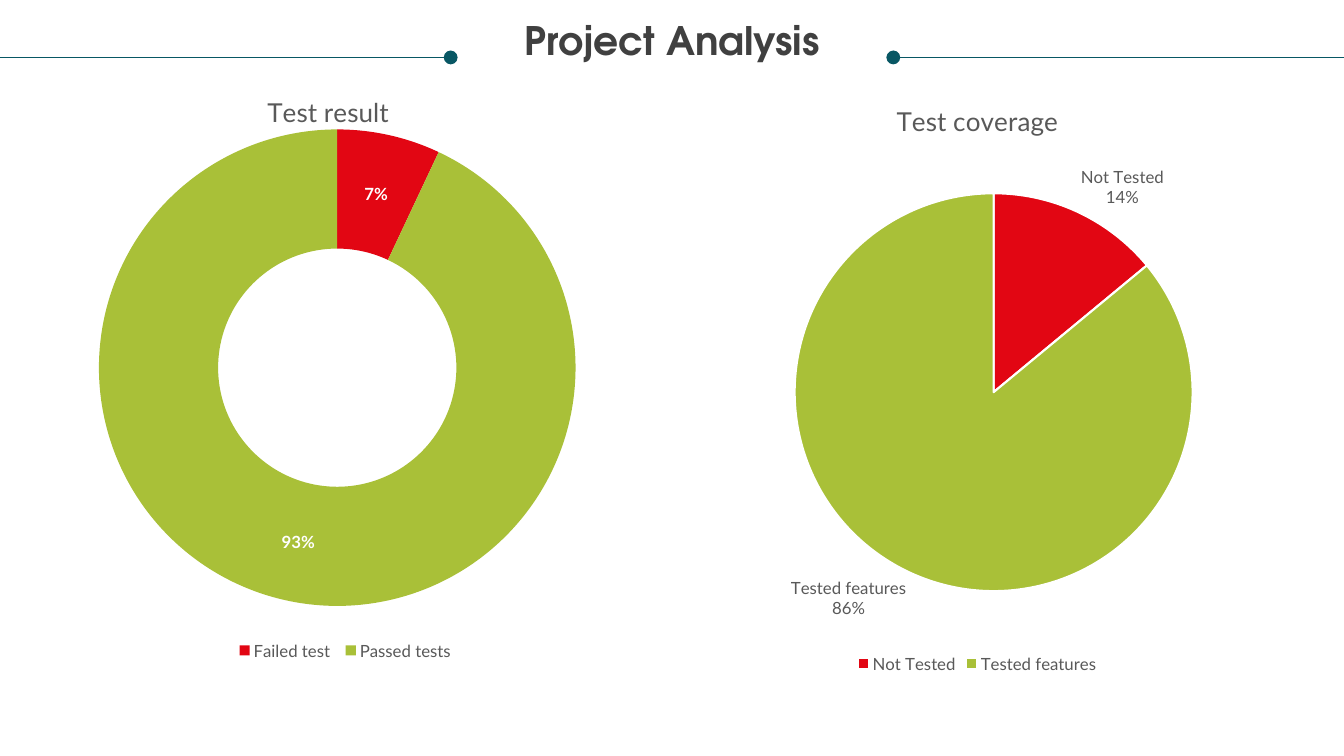
from lxml import etree
from pptx import Presentation
from pptx.chart.data import CategoryChartData
from pptx.dml.color import RGBColor
from pptx.enum.chart import XL_CHART_TYPE, XL_LABEL_POSITION, XL_LEGEND_POSITION
from pptx.enum.shapes import MSO_CONNECTOR
from pptx.enum.text import PP_ALIGN
from pptx.oxml import parse_xml
from pptx.oxml.ns import nsdecls, qn
from pptx.util import Inches, Pt

RING, PIE = XL_CHART_TYPE.DOUGHNUT, XL_CHART_TYPE.PIE
TOP, BOTTOM = XL_LEGEND_POSITION.TOP, XL_LEGEND_POSITION.BOTTOM
OUTSIDE = XL_LABEL_POSITION.OUTSIDE_END
STRAIGHT = MSO_CONNECTOR.STRAIGHT
CENTER = PP_ALIGN.CENTER
GRAY, WHITE, TEAL = "595959", "FFFFFF", "085764"
SLICES = ["E20613", "A9C038"]


def style(font, size, color, name="Lato", bold=False):
    font.size, font.name, font.bold = Pt(size), name, bold
    font.color.rgb = RGBColor.from_string(color)


def place(part, index, box, inner=False):
    """Set the layout of a chart part as fractions of the chart."""
    for old in part.findall(qn("c:layout")):
        part.remove(old)
    target = '<c:layoutTarget val="inner"/>' if inner else ""
    modes = "".join(f'<c:{k}Mode val="edge"/>' for k in "xy")
    sizes = "".join(f'<c:{k} val="{v}"/>' for k, v in zip("xywh", box))
    part.insert(index, parse_xml(
        f'<c:layout {nsdecls("c")}><c:manualLayout>{target}{modes}{sizes}'
        "</c:manualLayout></c:layout>"))


deck = Presentation()
deck.slide_width, deck.slide_height = Inches(13.33), Inches(7.5)
slide = deck.slides.add_slide(deck.slide_layouts[6])

# Heading
box = slide.shapes.add_textbox(Inches(0.25), Inches(0.21), Inches(12.83), Inches(0.85))
frame = box.text_frame
frame.word_wrap = True
frame.margin_left = frame.margin_right = frame.margin_top = frame.margin_bottom = 0
head = frame.paragraphs[0]
head.text = "Project Analysis"
head.alignment, head.line_spacing = CENTER, 0.9
style(head.font, 28, "404040", "TeX Gyre Adventor", True)

# Rules with a dot at the inner end
for start, end, dot in [(0, 4.47, "tailEnd"), (8.86, 13.33, "headEnd")]:
    rule = slide.shapes.add_connector(
        STRAIGHT, Inches(start), Inches(0.57), Inches(end), Inches(0.57))
    rule.line.color.rgb = RGBColor.from_string(TEAL)
    rule.line.width = Pt(0.5)
    etree.SubElement(rule.line._get_or_add_ln(), qn("a:" + dot),
                     type="oval", w="lg", len="lg")
    etree.SubElement(rule._element.spPr, qn("a:effectLst"))

# Charts: kind, left, width, title, series, values, legend side, plot box
charts = [
    (RING, -1.25, 8.82, "Test result", "Series 1",
     {"Failed test": 7, "Passed tests": 93}, TOP, (0.253, 0.08, 0.536, 0.804)),
    (PIE, 5.25, 8.89, "Test coverage", "Test coverage",
     {"Not Tested": 14, "Tested features": 86}, BOTTOM, (0.296, 0.19, 0.444, 0.666)),
]
for kind, left, width, title, name, values, side, plot_box in charts:
    data = CategoryChartData()
    data.categories = list(values)
    data.add_series(name, list(values.values()))
    chart = slide.shapes.add_chart(
        kind, Inches(left), Inches(0.79), Inches(width), Inches(5.93), data).chart
    style(chart.font, 10, "000000")

    chart.has_title = True
    chart.chart_title.text_frame.text = title
    style(chart.chart_title.text_frame.paragraphs[0].font, 18.6, GRAY)
    chart.has_legend = True
    legend = chart.legend
    legend.position, legend.include_in_layout = side, False
    style(legend.font, 12, GRAY)

    plot = chart.plots[0]
    plot.vary_by_categories = True
    for i, color in enumerate(SLICES):
        form = plot.series[0].points[i].format
        form.fill.solid()
        form.fill.fore_color.rgb = RGBColor.from_string(color)
        if kind == PIE:
            form.line.color.rgb = RGBColor.from_string(WHITE)
            form.line.width = Pt(1.5)
        else:
            form.line.fill.background()

    labels = plot.series[0].data_labels
    labels.show_percentage, labels.show_value = True, False
    labels.show_legend_key = False
    labels.show_category_name = kind == PIE
    if kind == PIE:
        labels.position = OUTSIDE
        style(labels.font, 12, GRAY)
        gap = etree.Element(qn("c:separator"))
        gap.text = "\n"
        labels._element.find(qn("c:showBubbleSize")).addnext(gap)
    else:
        style(labels.font, 12, WHITE, bold=True)
        place(chart.chart_title._element, 1, (0.437, 0.015))
        place(legend._element, 1, (0.4, 0.925, 0.26, 0.06))
    place(chart._chartSpace.xpath("c:chart/c:plotArea")[0], 0, plot_box, True)

deck.save("out.pptx")
